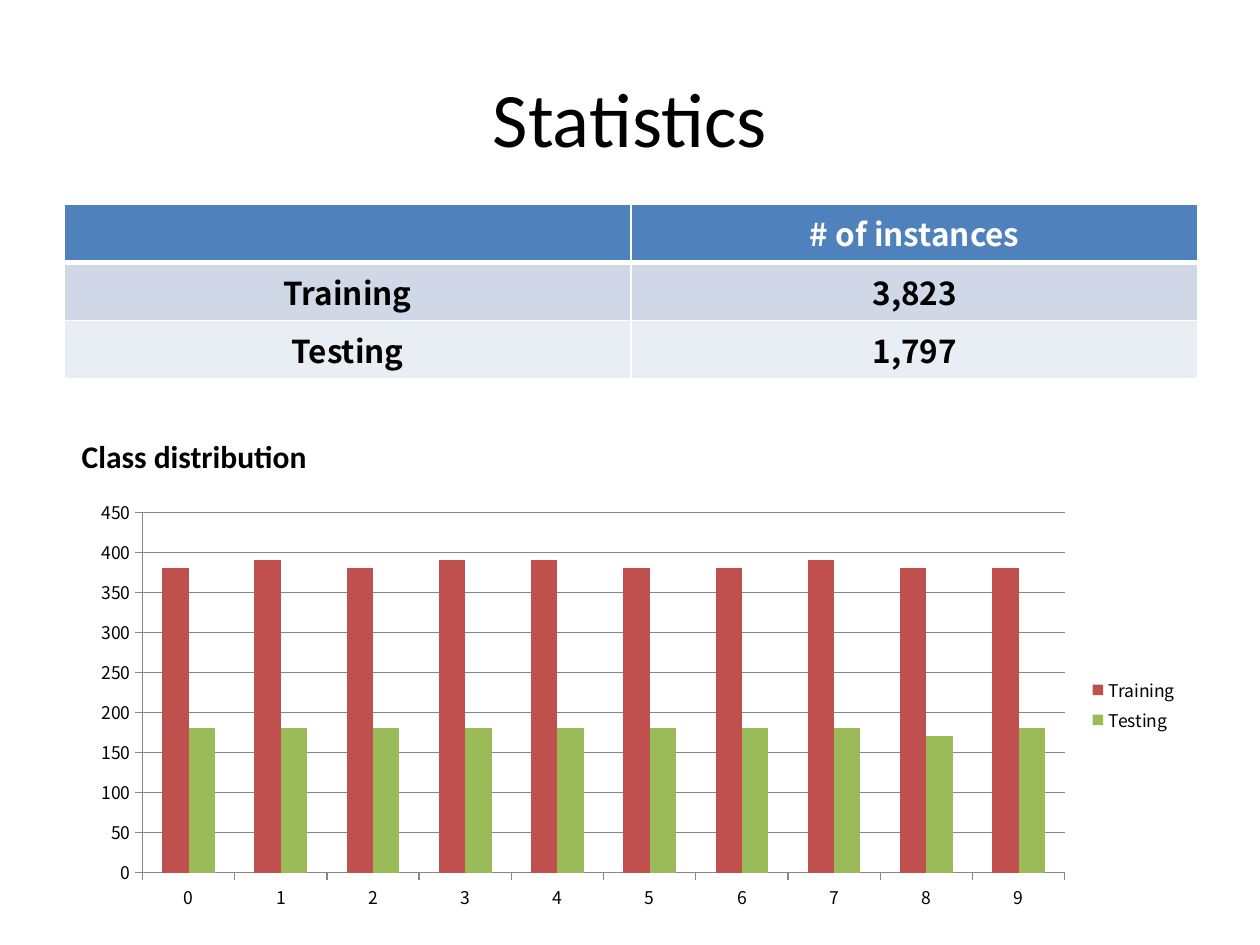
from dataclasses import dataclass

from lxml import etree
from pptx import Presentation
from pptx import util as u
from pptx.chart.data import CategoryChartData
from pptx.dml.color import RGBColor
from pptx.enum import chart as ch, text
from pptx.oxml.ns import qn

COLORS = {
    "black": "000000", "white": "FFFFFF", "header": "4F81BD",
    "band_dark": "D0D8E8", "band_light": "E9EDF4",
    "red": "C0504D", "green": "9BBB59", "axis": "868686",
}
HEAD_FONT, DATA_FONT = "Calibri", "Noto Sans CJK KR"
COLS, ROWS = 100, 75


@dataclass
class Box:
    x: float
    y: float
    w: float
    h: float


@dataclass
class TableRow:
    cells: tuple[str, str]
    fill: str
    color: str = "black"
    bottom: float = 1


@dataclass
class Series:
    name: str
    values: list[int]
    color: str


TABLE = [
    TableRow(("", "# of instances"), "header", "white", 3),
    TableRow(("Training", "3,823"), "band_dark"),
    TableRow(("Testing", "1,797"), "band_light"),
]
SERIES = [
    Series("Training", [380, 390, 380, 390, 390, 380, 380, 390, 380, 380], "red"),
    Series("Testing", [180] * 8 + [170, 180], "green"),
]

prs = Presentation()
prs.slide_width, prs.slide_height = u.Inches(10), u.Inches(7.5)
s = prs.slides.add_slide(prs.slide_layouts[5])


def rgb(name: str) -> RGBColor:
    return RGBColor.from_string(COLORS[name])


def place(b: Box) -> tuple[int, int, int, int]:
    dx, dy = prs.slide_width / COLS, prs.slide_height / ROWS
    return int(b.x * dx), int(b.y * dy), int(b.w * dx), int(b.h * dy)


def style(font, size: float, name: str, color: str = "black", bold: bool = False) -> None:
    font.size, font.name, font.bold = u.Pt(size), name, bold
    font.color.rgb = rgb(color)


def write(tf, words: str, align=text.PP_ALIGN.LEFT, **fmt) -> None:
    p = tf.paragraphs[0]
    p.alignment = align
    if words:
        r = p.add_run()
        r.text = words
        style(r.font, **fmt)


def border(cell, top: float, bottom: float) -> None:
    tcPr = cell._tc.get_or_add_tcPr()
    for side, width in (("L", 1), ("R", 1), ("T", top), ("B", bottom)):
        ln = etree.SubElement(tcPr, qn(f"a:ln{side}"), w=str(u.Pt(width)))
        fill = etree.SubElement(ln, qn("a:solidFill"))
        etree.SubElement(fill, qn("a:srgbClr"), val=COLORS["white"])


def add_table(rows: list[TableRow], b: Box) -> None:
    tbl = s.shapes.add_table(len(rows), 2, *place(b)).table
    for i, row in enumerate(rows):
        top = rows[i - 1].bottom if i else 1
        for j, words in enumerate(row.cells):
            cell = tbl.cell(i, j)
            border(cell, top, row.bottom)
            cell.fill.solid()
            cell.fill.fore_color.rgb = rgb(row.fill)
            write(cell.text_frame, words, text.PP_ALIGN.CENTER,
                  size=18, name=DATA_FONT, color=row.color, bold=True)


def add_chart(series: list[Series], b: Box) -> None:
    data = CategoryChartData()
    data.categories = [str(n) for n in range(10)]
    for item in series:
        data.add_series(item.name, item.values)
    c = s.shapes.add_chart(ch.XL_CHART_TYPE.COLUMN_CLUSTERED, *place(b), data).chart
    style(c.font, 10, DATA_FONT)
    c.has_title = False
    c.has_legend = True
    c.legend.position = ch.XL_LEGEND_POSITION.RIGHT
    c.legend.include_in_layout = False
    plot = c.plots[0]
    plot.gap_width, plot.overlap, plot.vary_by_categories = 150, 0, False
    for drawn, item in zip(plot.series, series):
        drawn.format.fill.solid()
        drawn.format.fill.fore_color.rgb = rgb(item.color)
    val = c.value_axis
    val.minimum_scale, val.maximum_scale, val.major_unit = 0, 450, 50
    val.has_major_gridlines = True
    for axis in (c.category_axis, val):
        axis.major_tick_mark = ch.XL_TICK_MARK.OUTSIDE
    for part in (c.category_axis, val, val.major_gridlines):
        part.format.line.color.rgb = rgb("axis")
        part.format.line.width = u.Pt(0.75)


title = s.shapes.title
title.left, title.top, title.width, title.height = place(Box(5, 3, 90, 12.5))
title.text_frame.vertical_anchor = text.MSO_ANCHOR.MIDDLE
write(title.text_frame, "Statistics", text.PP_ALIGN.CENTER, size=44, name=HEAD_FONT)

add_table(TABLE, Box(5.1, 16.2, 90, 12.2))
add_chart(SERIES, Box(6.3, 39, 88.2, 33.9))

tf = s.shapes.add_textbox(*place(Box(5.5, 34.2, 94.9, 4))).text_frame
tf.word_wrap = True
tf.auto_size = text.MSO_AUTO_SIZE.SHAPE_TO_FIT_TEXT
write(tf, "Class distribution", size=18, name=HEAD_FONT, bold=True)

prs.save("out.pptx")
